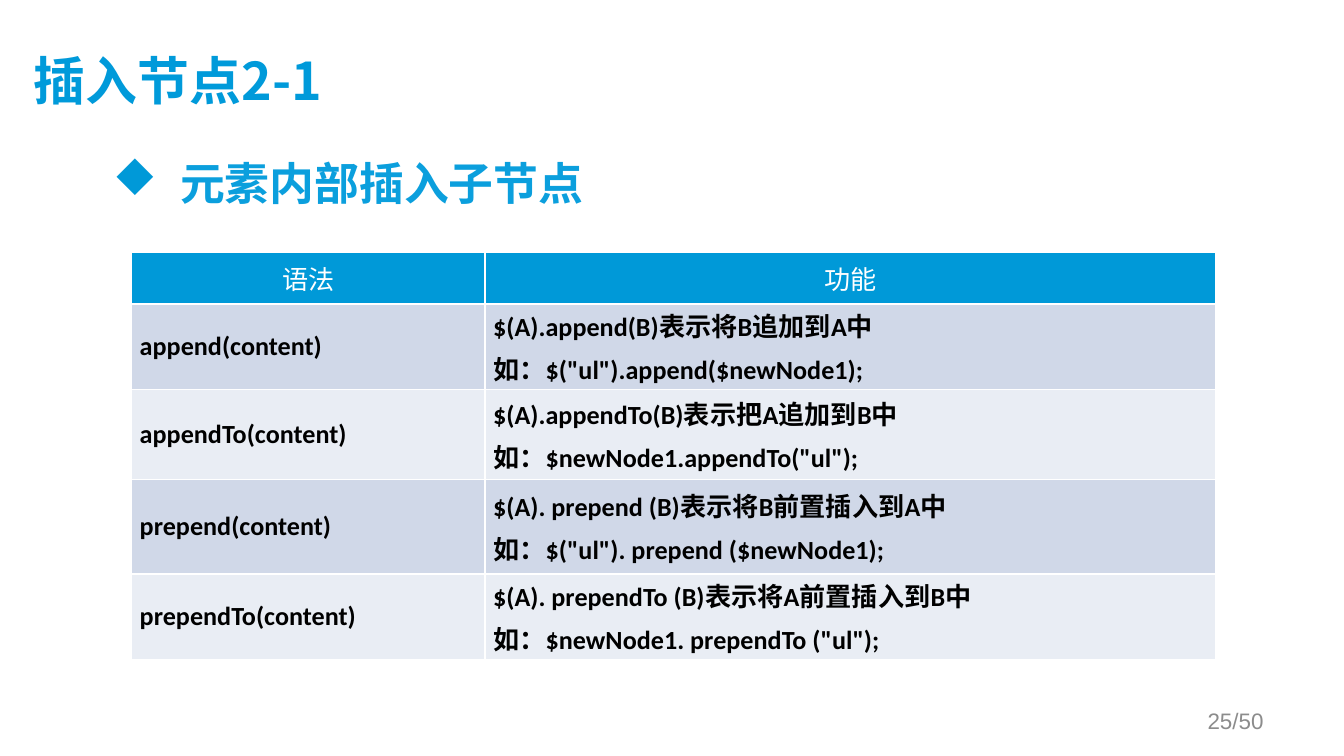
from pptx import Presentation
from pptx.dml.color import RGBColor as RGB
from pptx.enum.text import MSO_ANCHOR as Anchor, PP_ALIGN as Align
from pptx.oxml import parse_xml
from pptx.oxml.ns import nsdecls
from pptx.util import Inches, Pt

# Content
TITLE = "插入节点2-1"
TOPIC = "元素内部插入子节点"
PAGE = "25/50"
HEAD = ("语法", "功能")
ROWS = [
    ("append(content)",
     ["$(A).append(B)表示将B追加到A中",
      '如：$("ul").append($newNode1);']),
    ("appendTo(content)",
     ["$(A).appendTo(B)表示把A追加到B中",
      '如：$newNode1.appendTo("ul");']),
    ("prepend(content)",
     ["$(A). prepend (B)表示将B前置插入到A中",
      '如：$("ul"). prepend ($newNode1);']),
    ("prependTo(content)",
     ["$(A). prependTo (B)表示将A前置插入到B中",
      '如：$newNode1. prependTo ("ul");']),
]

# Style and grid
COLORS = {"title": "009ADA", "topic": "0B9FDD", "head": "0099D8",
          "odd": "D0D8E8", "even": "E9EDF4", "text": "000000",
          "label": "FFFFFF", "page": "8C8C8C"}
CJK = "Noto Sans CJK SC"
WIDE = 10
COLS = (2.63, 5.44)
HEIGHTS = (0.38, 0.64, 0.67, 0.7, 0.64)


def place(shape, *box):
    shape.left, shape.top, shape.width, shape.height = map(Inches, box)


def inset(part, left, top, right, bottom):
    part.margin_left, part.margin_top = Inches(left), Inches(top)
    part.margin_right, part.margin_bottom = Inches(right), Inches(bottom)


def write(para, text, size, color, bold=False, face=CJK, align=Align.LEFT):
    para.alignment = align
    run = para.add_run()
    run.text = text
    font = run.font
    font.size, font.bold, font.name = Pt(size), bold, face
    font.color.rgb = RGB.from_string(COLORS[color])
    font._element.append(parse_xml(
        f'<a:ea {nsdecls("a")} typeface="{CJK}"/>'))


def fill_cell(cell, lines, back, **style):
    inset(cell, 0.06, 0, 0.06, 0)
    cell.vertical_anchor = Anchor.MIDDLE
    cell.fill.solid()
    cell.fill.fore_color.rgb = RGB.from_string(COLORS[back])
    frame = cell.text_frame
    for index, line in enumerate(lines):
        para = frame.add_paragraph() if index else frame.paragraphs[0]
        para.space_before = Pt(2.8 if index else 0)
        write(para, line, 14, face="Calibri", **style)


def main():
    deck = Presentation()
    deck.slide_width, deck.slide_height = Inches(WIDE), Inches(WIDE * 9 / 16)
    slide = deck.slides.add_slide(deck.slide_layouts[1])
    title, body = slide.placeholders

    # Title
    place(title, 0.25, 0.23, 9.01, 0.77)
    frame = title.text_frame
    frame.vertical_anchor = Anchor.MIDDLE
    inset(frame, 0, 0, 0.1, 0.05)
    write(frame.paragraphs[0], TITLE, 27.8, "title", True)

    # Topic with a diamond bullet
    place(body, 0.74, 1.11, 8.49, 3.71)
    para = body.text_frame.paragraphs[0]
    para.space_before = Pt(0)
    props = para._p.get_or_add_pPr()
    props.set("marL", str(Inches(0.5)))
    props.set("indent", str(-Inches(0.5)))
    for tag in (f'<a:buClr {nsdecls("a")}><a:srgbClr val="{COLORS["head"]}"/>'
                '</a:buClr>',
                f'<a:buFont {nsdecls("a")} typeface="Wingdings" '
                'pitchFamily="2" charset="2"/>',
                f'<a:buChar {nsdecls("a")} char="u"/>'):
        props.append(parse_xml(tag))
    write(para, TOPIC, 24, "topic", True)

    # Syntax table, with the white rules of the default table style
    holder = slide.shapes.add_table(
        len(HEIGHTS), len(COLS), Inches(0.98), Inches(1.88),
        Inches(sum(COLS)), Inches(sum(HEIGHTS)))
    table = holder.table
    for col, width in zip(table.columns, COLS):
        col.width = Inches(width)
    for row, height in zip(table.rows, HEIGHTS):
        row.height = Inches(height)
    for col, text in enumerate(HEAD):
        fill_cell(table.cell(0, col), [text], "head",
                  color="label", align=Align.CENTER)
    for row, (name, lines) in enumerate(ROWS, 1):
        back = "odd" if row % 2 else "even"
        for col, texts in enumerate(([name], lines)):
            fill_cell(table.cell(row, col), texts, back,
                      color="text", bold=True)

    # Page number
    box = slide.shapes.add_textbox(
        Inches(7.17), Inches(5.21), Inches(2.33), Inches(0.3))
    frame = box.text_frame
    frame.word_wrap = True
    frame.vertical_anchor = Anchor.MIDDLE
    write(frame.paragraphs[0], PAGE, 12, "page", face="Arial",
          align=Align.RIGHT)

    deck.save("out.pptx")


if __name__ == "__main__":
    main()
